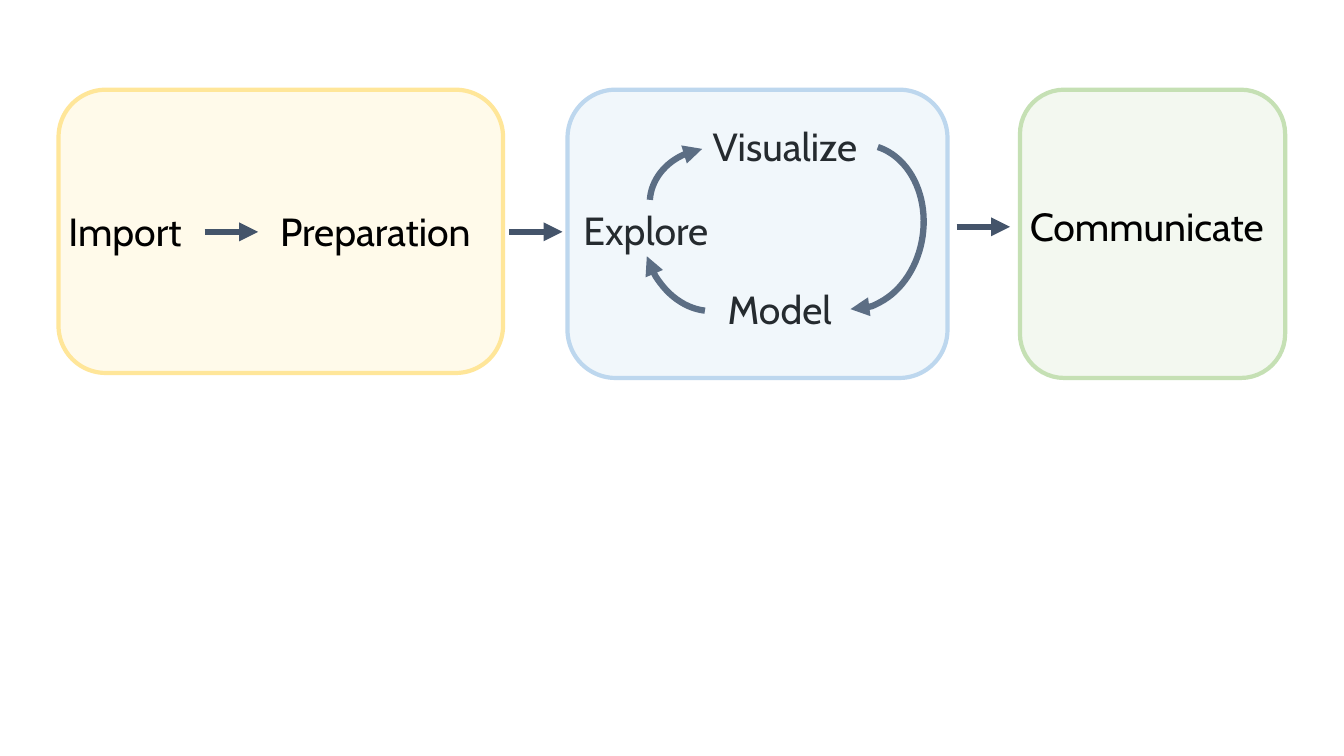
from collections import namedtuple

from lxml import etree
from pptx import Presentation
from pptx.dml.color import RGBColor
from pptx.enum.shapes import MSO_CONNECTOR, MSO_SHAPE
from pptx.enum.text import MSO_AUTO_SIZE
from pptx.oxml.ns import qn
from pptx.util import Pt

ROUNDED = MSO_SHAPE.ROUNDED_RECTANGLE
ARC = MSO_SHAPE.ARC
STRAIGHT = MSO_CONNECTOR.STRAIGHT
FIT_SHAPE = MSO_AUTO_SIZE.SHAPE_TO_FIT_TEXT

COLORS = {
    "yellow": "FFE699",
    "blue": "BDD7EE",
    "green": "C5E0B4",
    "arrow": "44546A",
    "text": "000000",
}
FONT = "Cabin"
ARROW_LENGTH = 38.2
LABEL_HEIGHT = 41
LABEL_WIDTH = 182.2

Box = namedtuple("Box", "left top width height")
PANEL_TOP = 64.1
PREPARE_BOX = Box(41.8, PANEL_TOP, 317.5, 202.3)
ANALYZE_BOX = Box(405.4, PANEL_TOP, 271.4, 205.9)
SHARE_BOX = Box(728.6, PANEL_TOP, 189.4, 205.9)


def color(name):
    return RGBColor.from_string(COLORS[name])


def add_panel(page, box, tint):
    """Add a rounded panel with a pale fill and a solid outline."""
    panel = page.shapes.add_shape(ROUNDED, *map(Pt, box))
    panel.shadow.inherit = False
    panel.fill.solid()
    panel.fill.fore_color.rgb = color(tint)
    fill_color = panel.fill._xPr.find(qn("a:solidFill"))[0]
    etree.SubElement(fill_color, qn("a:alpha"), val="20000")
    panel.line.color.rgb = color(tint)
    panel.line.width = Pt(3)


def add_label(page, text, left, top, width=LABEL_WIDTH, size=28, ink="text"):
    label = page.shapes.add_textbox(Pt(left), Pt(top), Pt(width), Pt(LABEL_HEIGHT))
    label.text_frame.word_wrap = True
    label.text_frame.auto_size = FIT_SHAPE
    span = label.text_frame.paragraphs[0].add_run()
    span.text = text
    span.font.name = FONT
    span.font.size = Pt(size)
    span.font.color.rgb = color(ink)


def style_arrow(line):
    line.color.rgb = color("arrow")
    line.width = Pt(4.5)
    etree.SubElement(line._get_or_add_ln(), qn("a:tailEnd"), type="triangle")


def add_arrow(page, left, top):
    arrow = page.shapes.add_connector(
        STRAIGHT, Pt(left), Pt(top), Pt(left + ARROW_LENGTH), Pt(top)
    )
    style_arrow(arrow.line)
    etree.SubElement(arrow._element.spPr, qn("a:effectLst"))


def add_curved_arrow(page, box, rotation, start, end):
    """Add an arc arrow running clockwise between two angles in degrees."""
    arc = page.shapes.add_shape(ARC, *map(Pt, box))
    arc.rotation = rotation
    for index, angle in enumerate((start, end)):
        arc.adjustments[index] = angle * 0.6
    arc.fill.background()
    style_arrow(arc.line)
    arc.shadow.inherit = False


def draw_prepare(page, box):
    add_panel(page, box, "yellow")
    add_label(page, "Import", box.left, box.top + 80.6, width=123)
    add_label(page, "Preparation", box.left + 151.2, box.top + 80.6)
    add_arrow(page, box.left + 104.4, box.top + 101.5)


def draw_analyze(page, box):
    """Draw the cycle first, so that the translucent panel tints it."""
    labels = [("Visualize", 96.5, 19.4), ("Explore", 4.3, 79.9), ("Model", 107.3, 136.1)]
    for text, left, top in labels:
        add_label(page, text, box.left + left, box.top + top)
    arcs = [
        (Box(67, 33.1, 80.6, 97.2), 273.6, 270, 340.6),
        (Box(54, 48.2, 90, 110.2), 168.8, 282.14, 350.94),
        (Box(159.8, 38.9, 94.3, 118.1), 8.1, 276.32, 86.63),
    ]
    for frame, rotation, start, end in arcs:
        placed = frame._replace(left=box.left + frame.left, top=box.top + frame.top)
        add_curved_arrow(page, placed, rotation, start, end)
    add_panel(page, box, "blue")


def draw_share(page, box):
    add_panel(page, box, "green")
    add_label(page, "Communicate", box.left, box.top + 77, width=box.width)


def main():
    deck = Presentation()
    deck.slide_width = Pt(960)
    deck.slide_height = Pt(540)
    page = deck.slides.add_slide(deck.slide_layouts[6])
    draw_share(page, SHARE_BOX)
    draw_prepare(page, PREPARE_BOX)
    add_arrow(page, 363.6, 165.6)
    add_arrow(page, 683.3, 162)
    draw_analyze(page, ANALYZE_BOX)
    deck.save("out.pptx")


if __name__ == "__main__":
    main()
